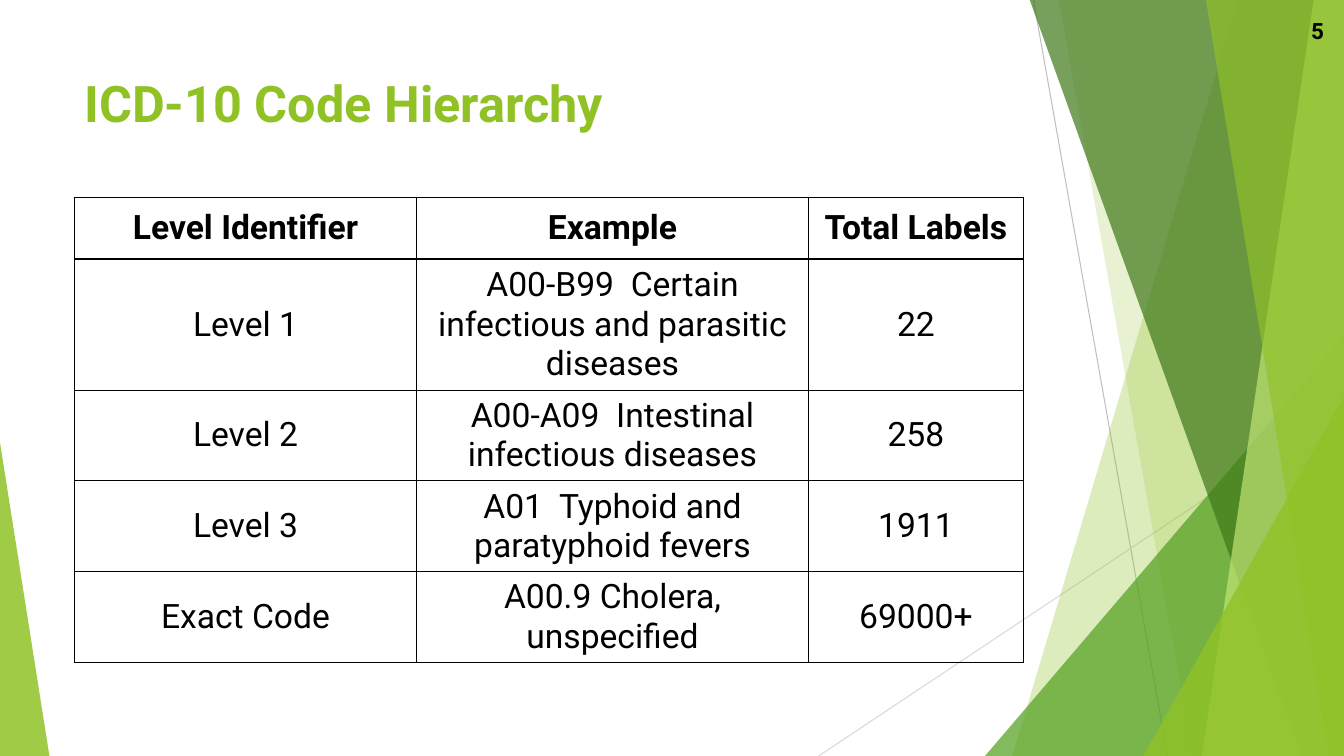
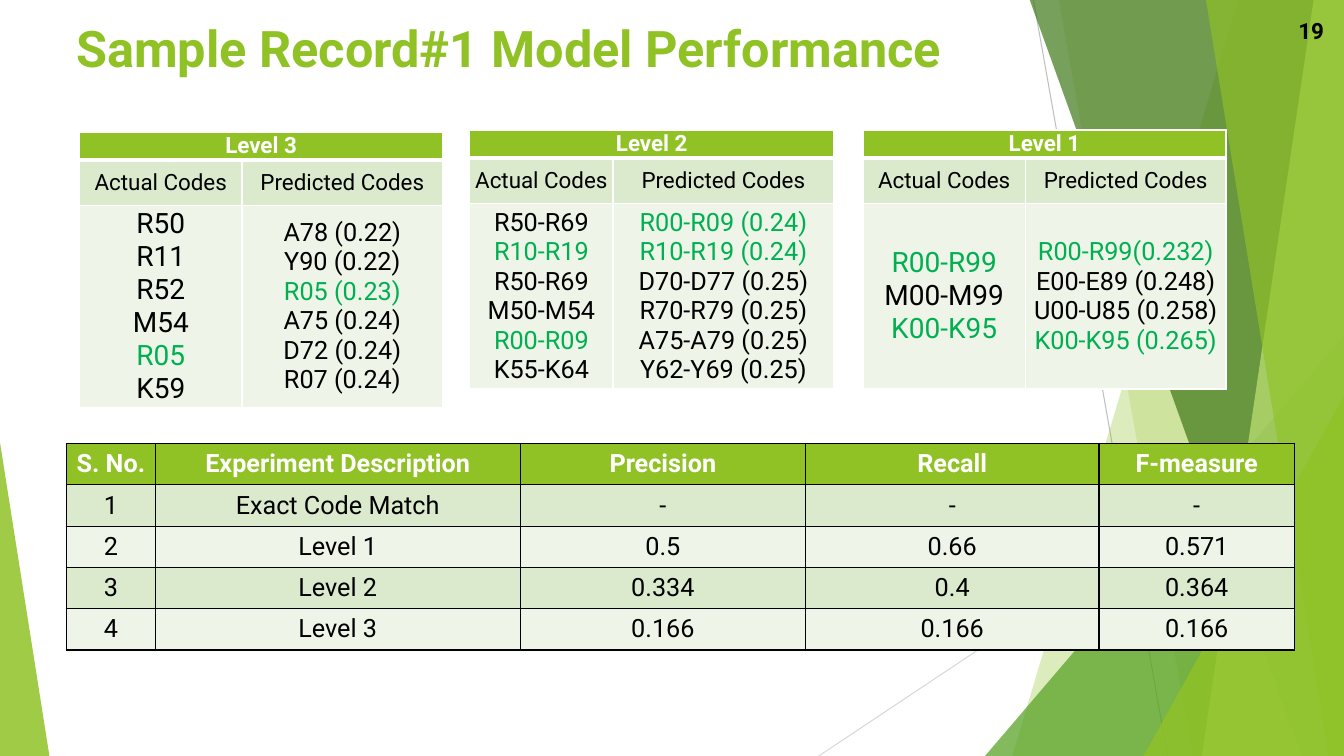
import pptx
import pptx.dml.color
import pptx.enum.shapes
import pptx.enum.text
import pptx.oxml
import pptx.oxml.ns
import pptx.util
from pptx.util import Inches

FONT = "Roboto"
GREEN, BLACK, WHITE = "90C226", "000000", "FFFFFF"
BAND_DARK, BAND_LIGHT, HIT = "DBE9CD", "EEF4E8", "00B050"
ALIGN = pptx.enum.text.PP_ALIGN
ANCHOR = pptx.enum.text.MSO_ANCHOR
SHAPE = pptx.enum.shapes.MSO_SHAPE
NSDECL = pptx.oxml.ns.nsdecls("a")

# Backdrop: lines (x1, y1, x2, y2, colour)
LINES = [(10.25, 0, 11.58, 7.5, "BFBFBF"), (13.33, 4.03, 8.12, 7.5, "D9D9D9")]
# Facets run to the right edge: (top x, bottom x, colour, opacity %)
# Triangles: (left, top, width, height, apex, colour, opacity %)
FACETS = [
    (12.28, 10.04, GREEN, 30),
    (10.5, 11.83, GREEN, 20),
    (9.77, 3.33, 3.56, 4.17, 1, "54A021", 72),
    (10.21, 12.91, "3F7819", 70),
    (13.03, 11.92, "C0E474", 70),
    (11.96, 13.18, GREEN, 65),
    (11.34, 3.93, 1.99, 3.57, 1, GREEN, 80),
    (0, 4.39, 0.49, 3.11, 0, GREEN, 85),
]


def rgb(value):
    return pptx.dml.color.RGBColor.from_string(value)


class Deck:
    """Holds the style and the slide being built."""

    def __init__(self):
        self.prs = pptx.Presentation()
        self.prs.slide_width = Inches(13.33)
        self.prs.slide_height = Inches(7.5)
        self.s = None

    def slide(self, title, box, number):
        self.s = self.prs.slides.add_slide(self.prs.slide_layouts[6])
        self.backdrop()
        self.text(title, box, 36, GREEN)
        self.text(number, (12.48, 0.1, 0.75, 0.4), 16, BLACK,
                  ALIGN.RIGHT, ANCHOR.MIDDLE)

    def backdrop(self):
        for line in LINES:
            self.line(*line)
        for facet in FACETS:
            if len(facet) == 4:
                self.facet(*facet)
            else:
                self.triangle(*facet)

    def line(self, x1, y1, x2, y2, color):
        c = self.s.shapes.add_connector(
            pptx.enum.shapes.MSO_CONNECTOR.STRAIGHT,
            Inches(x1), Inches(y1), Inches(x2), Inches(y2))
        c.line.color.rgb = rgb(color)
        c.line.width = pptx.util.Pt(0.75)
        c._element.spPr.append(
            pptx.oxml.parse_xml(f"<a:effectLst {NSDECL}/>"))

    def facet(self, top_x, bottom_x, color, opacity):
        top, right, bottom = Inches(-0.01), Inches(13.33), Inches(7.5)
        fb = self.s.shapes.build_freeform(Inches(top_x), top)
        fb.add_line_segments(
            [(right, top), (right, bottom), (Inches(bottom_x), bottom)])
        self.paint(fb.convert_to_shape(), color, opacity)

    def triangle(self, x, y, w, h, apex, color, opacity):
        sp = self.s.shapes.add_shape(
            SHAPE.ISOSCELES_TRIANGLE, Inches(x), Inches(y), Inches(w), Inches(h))
        sp.adjustments[0] = apex
        self.paint(sp, color, opacity)

    def paint(self, sp, color, opacity):
        sp.shadow.inherit = False
        sp.line.fill.background()
        sp.fill.solid()
        sp.fill.fore_color.rgb = rgb(color)
        clr = sp._element.spPr.find(".//" + pptx.oxml.ns.qn("a:srgbClr"))
        clr.append(pptx.oxml.parse_xml(
            f'<a:alpha {NSDECL} val="{opacity * 1000}"/>'))

    def text(self, text, box, size, color, align=ALIGN.LEFT, anchor=ANCHOR.TOP):
        tf = self.s.shapes.add_textbox(*map(Inches, box)).text_frame
        tf.word_wrap = True
        tf.vertical_anchor = anchor
        tf.text = text
        self.style(tf.paragraphs[0], size, color, True, align)

    def style(self, p, size, color, bold=False, align=ALIGN.CENTER):
        p.alignment = align
        p.font.name = FONT
        p.font.size = pptx.util.Pt(size)
        p.font.bold = bold
        p.font.color.rgb = rgb(color)

    def grid(self, left, top, cols, rows):
        """Add an unstyled table with the given column and row sizes."""
        table = self.s.shapes.add_table(
            len(rows), len(cols), Inches(left), Inches(top),
            Inches(sum(cols)), Inches(sum(rows))).table
        table.first_row = table.horz_banding = False
        for col, width in zip(table.columns, cols):
            col.width = Inches(width)
        for row, height in zip(table.rows, rows):
            row.height = Inches(height)
        return table

    def cell(self, cell, lines, size, color=BLACK, bold=False, fill=None,
             border=BLACK, top=1, bottom=1, hits=()):
        """Fill one cell; lines that start with a hit code turn green."""
        tcPr = cell._tc.get_or_add_tcPr()
        for side, width in (("L", 1), ("R", 1), ("T", top), ("B", bottom)):
            tcPr.append(pptx.oxml.parse_xml(
                f'<a:ln{side} {NSDECL} w="{width * 12700}"><a:solidFill>'
                f'<a:srgbClr val="{border}"/></a:solidFill></a:ln{side}>'))
        if fill:
            cell.fill.solid()
            cell.fill.fore_color.rgb = rgb(fill)
        else:
            cell.fill.background()
        cell.vertical_anchor = ANCHOR.MIDDLE
        cell.text = "\n".join(lines)
        for p, line in zip(cell.text_frame.paragraphs, lines):
            hit = any(line.startswith(code) for code in hits)
            self.style(p, size, HIT if hit else color, bold)

    def data_table(self, left, top, cols, rows, data, size,
                   head_color=BLACK, fills=(None, None, None)):
        """Black-ruled table; fills are those of the head and the two bands."""
        table = self.grid(left, top, cols, rows)
        for i, values in enumerate(data):
            head = i == 0
            fill = fills[0] if head else fills[2 - i % 2]
            # odd rows take the first band, even rows the second
            fill = fill if head else fills[1 if i % 2 else 2]
            for j, value in enumerate(values):
                self.cell(table.cell(i, j), [value], size,
                          head_color if head else BLACK, head, fill)

    def code_table(self, left, top, cols, last_row, level,
                   actual, predicted, actual_size):
        """Actual against predicted codes, with the matches in green."""
        hits = set(actual) & {p.split("(")[0].strip() for p in predicted}
        table = self.grid(left, top, cols, [0.28, 0.45, last_row])
        for c in table.iter_cells():
            c.margin_left = c.margin_right = c.margin_top = c.margin_bottom = 0
        table.cell(0, 0).merge(table.cell(0, 1))
        columns = [([level], "Actual Codes", actual, actual_size),
                   ([], "Predicted Codes", predicted, 18)]
        for j, (head, label, codes, size) in enumerate(columns):
            self.cell(table.cell(0, j), head, 16, WHITE, True, GREEN,
                      WHITE, bottom=3)
            self.cell(table.cell(1, j), [label], 16, fill=BAND_DARK,
                      border=WHITE, top=3)
            self.cell(table.cell(2, j), codes, size, fill=BAND_LIGHT,
                      border=WHITE, hits=hits)


def main():
    deck = Deck()

    # Code hierarchy
    deck.slide("ICD-10 Code Hierarchy", (0.74, 0.67, 9.4, 0.9), "5")
    deck.data_table(0.74, 1.96, [3.39, 3.89, 2.13], [0.61, 1.27] + [0.88] * 3, [
        ("Level Identifier", "Example", "Total Labels"),
        ("Level 1", "A00-B99  Certain infectious and parasitic diseases", "22"),
        ("Level 2", "A00-A09  Intestinal infectious diseases", "258"),
        ("Level 3", "A01  Typhoid and paratyphoid fevers", "1911"),
        ("Exact Code", "A00.9 Cholera, unspecified", "69000+"),
    ], 24)

    # Model performance: summary
    deck.slide("Sample Record#1 Model Performance", (0.66, 0.12, 11.5, 0.82), "19")
    deck.data_table(0.66, 4.4, [0.88, 3.62, 2.83, 2.91, 1.94], [0.41] * 5, [
        ("S. No.", "Experiment Description", "Precision", "Recall", "F-measure"),
        ("1", "Exact Code Match", "-", "-", "-"),
        ("2", "Level 1", "0.5", "0.66", "0.571"),
        ("3", "Level 2", "0.334", "0.4", "0.364"),
        ("4", "Level 3", "0.166", "0.166", "0.166"),
    ], 18, WHITE, (GREEN, BAND_DARK, BAND_LIGHT))

    # Model performance: codes by level
    deck.code_table(
        0.79, 1.31, [1.61, 1.99], 1.95, "Level 3",
        ["R50", "R11", "R52", "M54", "R05", "K59"],
        ["A78 (0.22)", "Y90 (0.22)", "R05 (0.23)",
         "A75 (0.24)", "D72 (0.24)", "R07 (0.24)"], 20)
    deck.code_table(
        4.66, 1.29, [1.42, 2.19], 1.84, "Level 2",
        ["R50-R69", "R10-R19", "R50-R69", "M50-M54", "R00-R09", "K55-K64"],
        ["R00-R09 (0.24)", "R10-R19 (0.24)", "D70-D77 (0.25)",
         "R70-R79 (0.25)", "A75-A79 (0.25)", "Y62-Y69 (0.25)"], 18)
    deck.code_table(
        8.56, 1.29, [1.61, 1.99], 1.84, "Level 1",
        ["R00-R99", "M00-M99", "K00-K95"],
        ["R00-R99(0.232)", "E00-E89 (0.248)",
         "U00-U85 (0.258)", "K00-K95 (0.265)"], 20)

    deck.prs.save("out.pptx")


if __name__ == "__main__":
    main()
